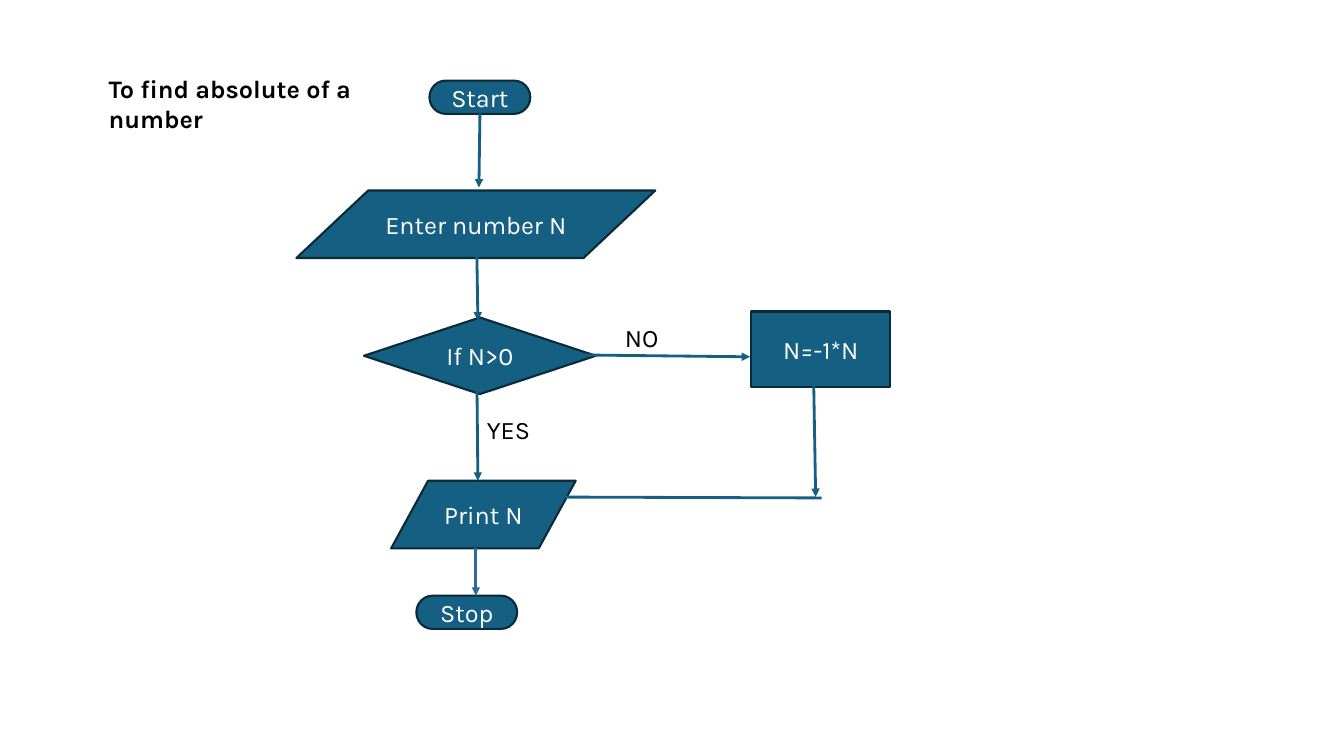
from dataclasses import dataclass

from lxml.etree import SubElement
from pptx import Presentation
from pptx.dml.color import RGBColor as Rgb
from pptx.enum.shapes import MSO_CONNECTOR as Link, MSO_SHAPE as Kind
from pptx.enum.text import MSO_ANCHOR as Anchor, PP_ALIGN as Align
from pptx.oxml.ns import qn
from pptx.util import Inches, Pt


@dataclass(frozen=True)
class Theme:
    font: str = "Karla"
    size: int = 18
    fill: str = "156082"
    edge: str = "092A38"
    last: str = "3465A4"
    light: str = "FFFFFF"
    dark: str = "000000"
    border: float = 1.5
    hair: float = 0


THEME = Theme()


def add_run(frame, text, color, bold=False):
    run = frame.paragraphs[0].add_run()
    run.text = text
    font = run.font
    font.name, font.size, font.bold = THEME.font, Pt(THEME.size), bold
    font.color.rgb = Rgb.from_string(color)


def add_node(slide, kind, box, text):
    node = slide.shapes.add_shape(kind, *map(Inches, box))
    node.shadow.inherit = False
    node.fill.solid()
    node.fill.fore_color.rgb = Rgb.from_string(THEME.fill)
    node.line.color.rgb = Rgb.from_string(THEME.edge)
    node.line.width = Pt(THEME.border)
    frame = node.text_frame
    frame.word_wrap = True
    frame.vertical_anchor = Anchor.MIDDLE
    frame.paragraphs[0].alignment = Align.CENTER
    add_run(frame, text, THEME.light)
    return node


def add_label(slide, box, text, bold=False):
    frame = slide.shapes.add_textbox(*map(Inches, box)).text_frame
    frame.word_wrap = True
    add_run(frame, text, THEME.dark, bold)


def add_arrow(slide, start, end, color=THEME.fill):
    arrow = slide.shapes.add_connector(
        Link.STRAIGHT, *map(Inches, (*start, *end)))
    arrow.line.color.rgb = Rgb.from_string(color)
    arrow.line.width = Pt(THEME.hair)
    props = arrow.line._get_or_add_ln()
    SubElement(props, qn("a:tailEnd"), type="triangle")
    SubElement(arrow._element.spPr, qn("a:effectLst"))
    return arrow


def main():
    deck = Presentation()
    deck.slide_width, deck.slide_height = Inches(13.33), Inches(7.5)
    slide = deck.slides.add_slide(deck.slide_layouts[6])

    # Steps of the flow
    first = add_node(slide, Kind.FLOWCHART_TERMINATOR,
                     (4.26, 0.8, 1, 0.33), "Start")
    for kind, box, text in (
        (Kind.FLOWCHART_DATA, (2.94, 1.89, 3.56, 0.67), "Enter number N"),
        (Kind.FLOWCHART_DECISION, (3.61, 3.15, 2.3, 0.76), "If N>0"),
        (Kind.FLOWCHART_DATA, (3.88, 4.77, 1.83, 0.67), "Print N"),
        (Kind.FLOWCHART_PROCESS, (7.45, 3.09, 1.38, 0.75), "N=-1*N"),
        (Kind.FLOWCHART_TERMINATOR, (4.13, 5.91, 1, 0.33), "Stop"),
    ):
        add_node(slide, kind, box, text)

    # Arrows down the main path
    entry = add_arrow(slide, (4.76, 1.13), (4.75, 1.86))
    entry.begin_connect(first, 2)
    add_arrow(slide, (4.73, 2.55), (4.74, 3.18))
    add_arrow(slide, (4.73, 3.75), (4.74, 4.77))
    add_arrow(slide, (4.72, 5.44), (4.72, 5.91), THEME.last)

    # Arrows around the NO branch
    add_arrow(slide, (5.62, 3.52), (7.44, 3.54))
    add_arrow(slide, (8.07, 3.76), (8.09, 4.93))
    add_arrow(slide, (8.15, 4.94), (5.22, 4.93))

    # Title and branch labels
    add_label(slide, (0.98, 0.68, 3, 0.7),
              "To find absolute of a number", bold=True)
    add_label(slide, (6.1, 3.15, 3, 0.4), "NO")
    add_label(slide, (4.73, 4.06, 3, 0.4), "YES")

    deck.save("out.pptx")


if __name__ == "__main__":
    main()
